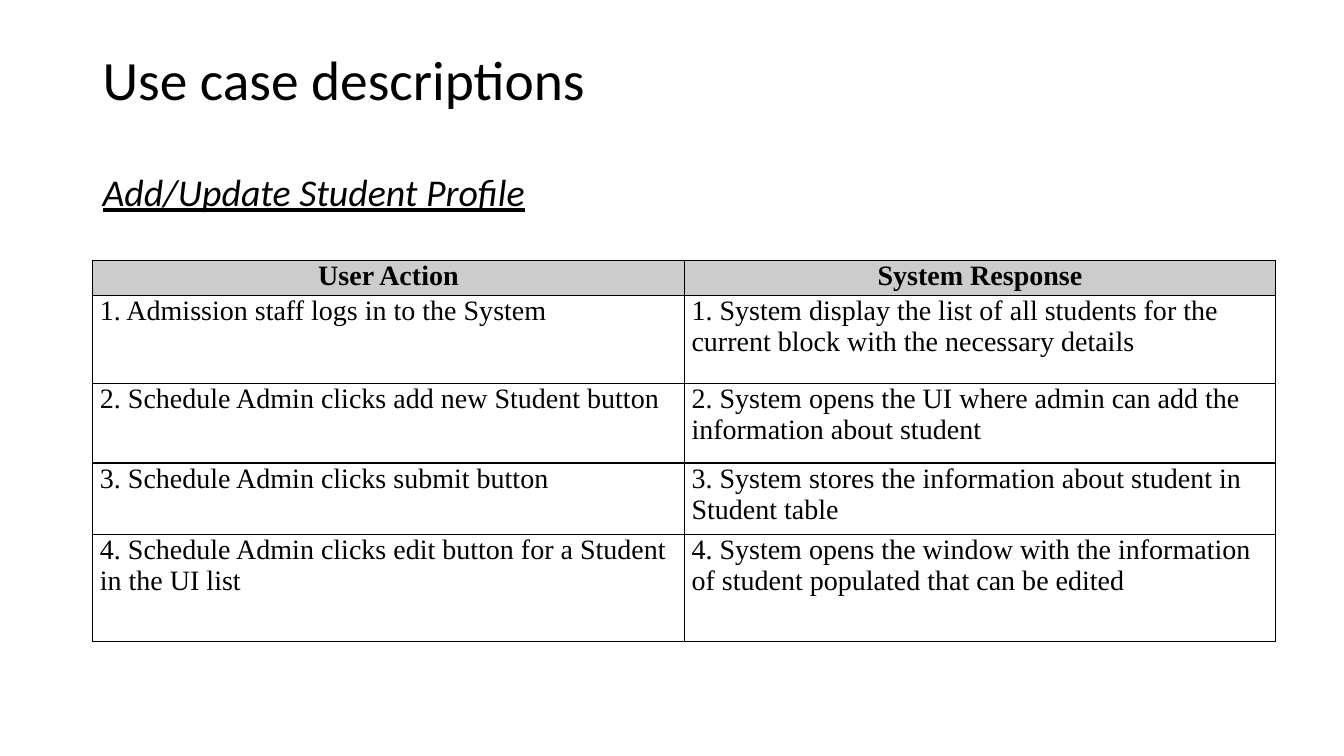
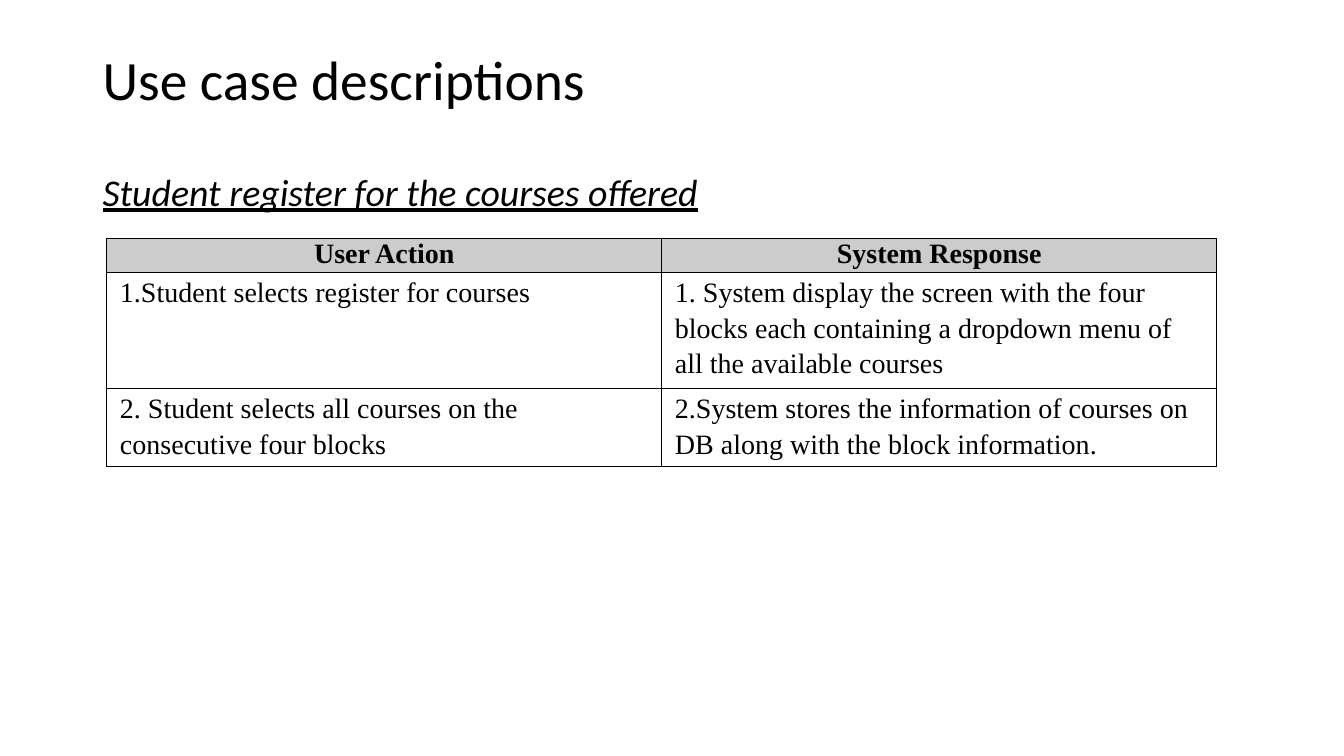
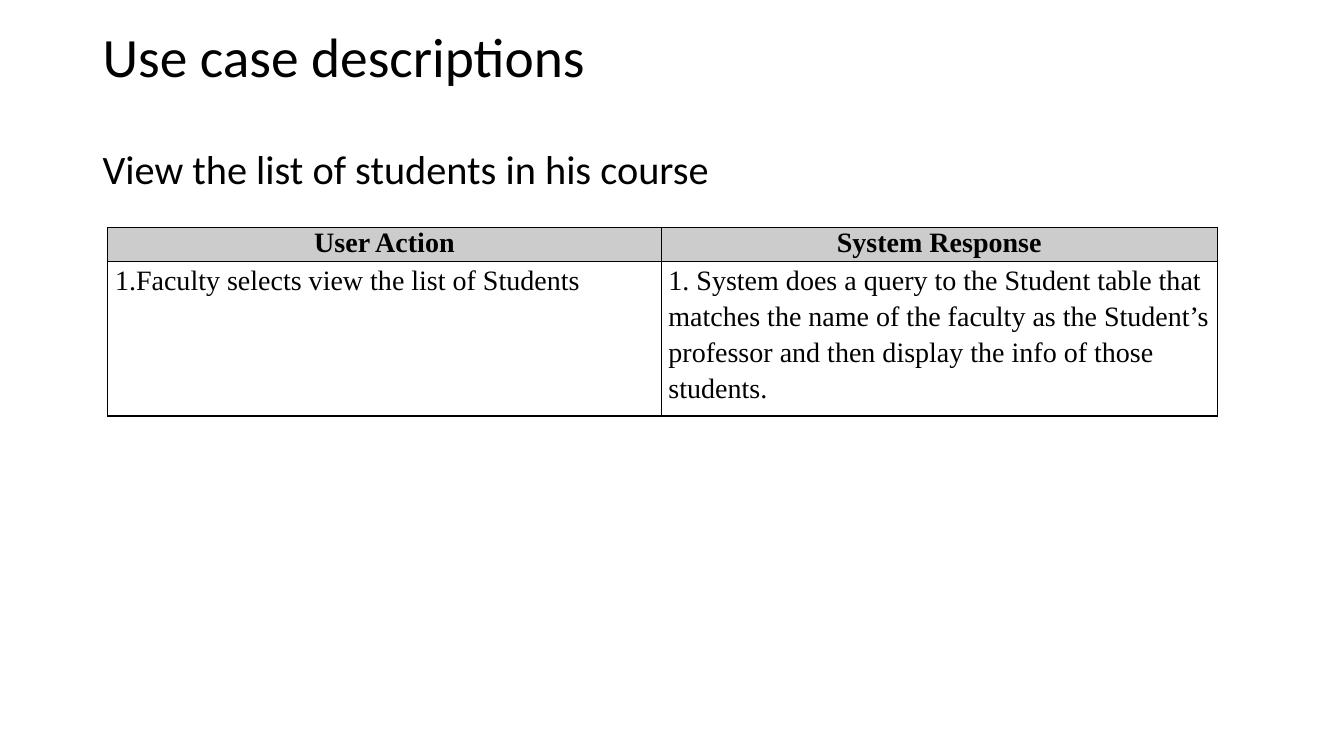
"""Build three use case slides, each with a heading and a two-column table."""
from lxml import etree
from pptx import Presentation
from pptx.dml.color import RGBColor
from pptx.enum import text
from pptx.oxml.ns import qn
from pptx.util import Pt

INK, GREY = "000000", "CCCCCC"
TITLE = "Use case descriptions"
HEAD = ("User Action", "System Response")
CASES = [
    dict(sub="Add/Update Student Profile", size=27, slant=True, top=37.8,
         at=(66.2, 185.8), cols=(422.6, 422.6), pad=5.2, gap=1,
         high=(25.2, 62.8, 56.9, 51.1, 76.3), rows=[
             ("1. Admission staff logs in to the System",
              "1. System display the list of all students for the current block "
              "with the necessary details"),
             ("2. Schedule Admin clicks add new Student button",
              "2. System opens the UI where admin can add the information about student"),
             ("3. Schedule Admin clicks submit button",
              "3. System stores the information about student in Student table"),
             ("4. Schedule Admin clicks edit button for a Student in the UI list",
              "4. System opens the window with the information of student populated "
              "that can be edited")]),
    dict(sub="Student register for the courses offered", size=27, slant=True, top=37.8,
         at=(76.3, 170.4), cols=(396.4, 396.4), pad=9.4, gap=1.15,
         high=(24.5, 76.3, 54.7), rows=[
             ("1.Student selects register for courses",
              "1. System display the screen with the four blocks each containing "
              "a dropdown menu of all the available courses"),
             ("2. Student selects all courses on the consecutive four blocks",
              "2.System stores the information of courses on DB along with "
              "the block information.")]),
    dict(sub="View the list of students in his course", size=28.8, slant=False, top=21,
         at=(77, 162.6), cols=(395.3, 397.4), pad=5.2, gap=1.15,
         high=(22.3, 101.9), rows=[
             ("1.Faculty selects view the list of Students",
              "1. System does a query to the Student table that matches the name of "
              "the faculty as the Student’s professor and then display the info "
              "of those students.")]),
]


def color(code):
    return RGBColor.from_string(code)


def write(para, words, face, size, bold=False, slant=False):
    run = para.add_run()
    run.text = words
    font = run.font
    font.name, font.size, font.bold = face, Pt(size), bold
    font.italic = font.underline = slant
    font.color.rgb = color(INK)


def heading(slide, case):
    box = slide.shapes.add_textbox(Pt(66.2), Pt(case["top"]), Pt(828), Pt(117))
    frame = box.text_frame
    frame.word_wrap = True
    frame.margin_top = frame.margin_bottom = 0
    first, second = frame.paragraphs[0], frame.add_paragraph()
    first.line_spacing = second.line_spacing = 0.9
    second.space_before = Pt(43.5)
    write(first, TITLE, "Calibri", 39.6)
    write(second, case["sub"], "Calibri", case["size"], slant=case["slant"])


def border(cell):
    props = cell._tc.get_or_add_tcPr()
    for place, side in enumerate(("a:lnL", "a:lnR", "a:lnT", "a:lnB")):
        line = etree.Element(qn(side), w=str(Pt(1)))
        fill = etree.SubElement(line, qn("a:solidFill"))
        etree.SubElement(fill, qn("a:srgbClr"), val=INK)
        props.insert(place, line)


def grid(slide, case):
    rows, cols, high = [HEAD] + case["rows"], case["cols"], case["high"]
    left, top = case["at"]
    table = slide.shapes.add_table(len(rows), len(cols), Pt(left), Pt(top),
                                   Pt(sum(cols)), Pt(sum(high))).table
    table.horz_banding = False
    for col, wide in zip(table.columns, cols):
        col.width = Pt(wide)
    for r, (row, tall) in enumerate(zip(rows, high)):
        table.rows[r].height = Pt(tall)
        for c, words in enumerate(row):
            cell = table.cell(r, c)
            cell.margin_left = cell.margin_right = Pt(case["pad"])
            cell.margin_top = cell.margin_bottom = 0
            para = cell.text_frame.paragraphs[0]
            if r == 0:
                cell.fill.solid()
                cell.fill.fore_color.rgb = color(GREY)
                para.alignment = text.PP_ALIGN.CENTER
            else:
                cell.fill.background()
                para.line_spacing = case["gap"]
            write(para, words, "Times New Roman", 20, bold=r == 0)
            border(cell)


def main():
    deck = Presentation()
    deck.slide_width, deck.slide_height = Pt(960), Pt(540)
    for case in CASES:
        slide = deck.slides.add_slide(deck.slide_layouts[6])
        heading(slide, case)
        grid(slide, case)
    deck.save("out.pptx")


if __name__ == "__main__":
    main()
